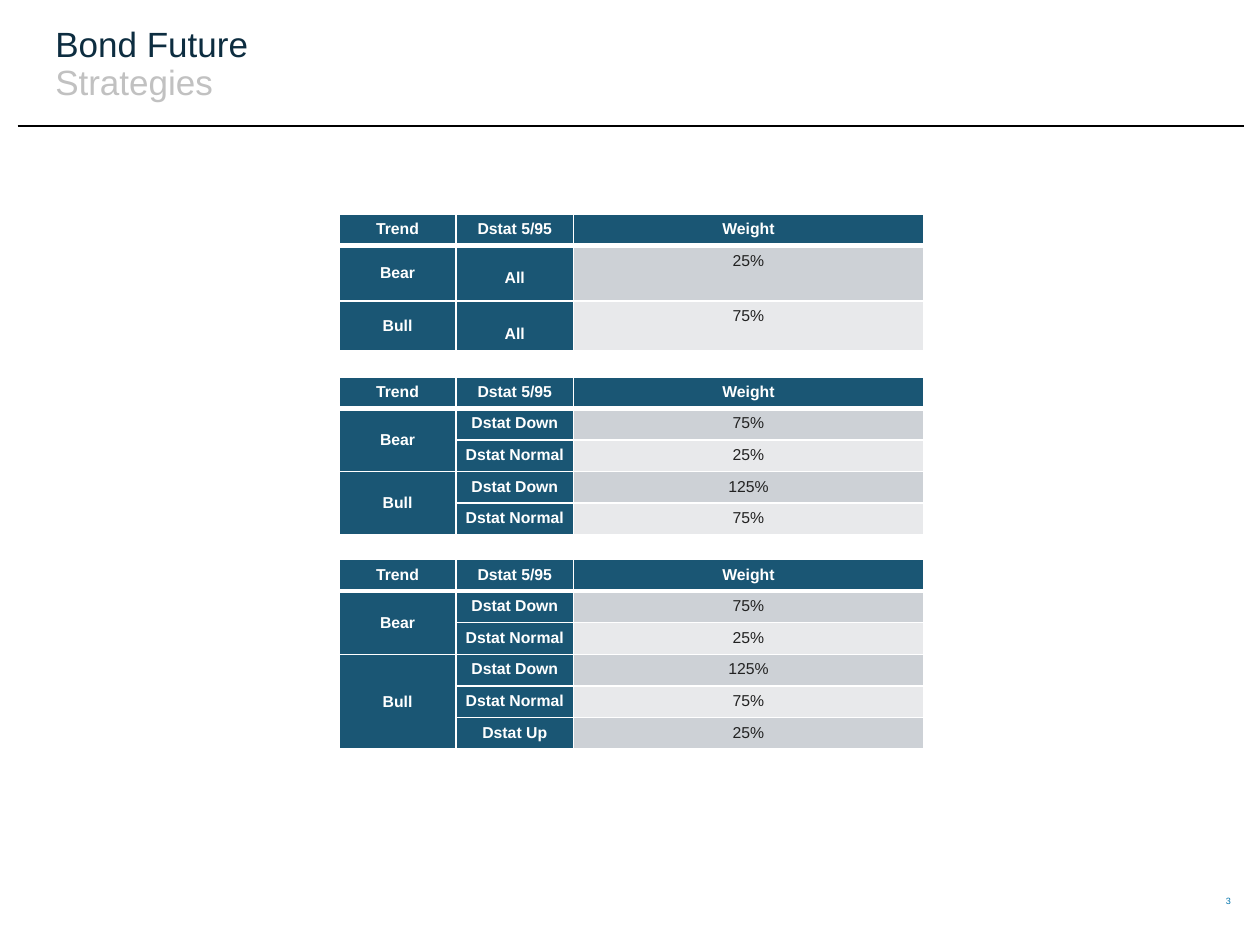
from lxml import etree
from pptx import Presentation
from pptx.dml.color import RGBColor
from pptx.enum.shapes import MSO_CONNECTOR
from pptx.enum.text import MSO_ANCHOR, PP_ALIGN
from pptx.oxml.ns import qn
from pptx.util import Inches, Pt

LEFT, CENTER = PP_ALIGN.LEFT, PP_ALIGN.CENTER
TOP, MIDDLE = MSO_ANCHOR.TOP, MSO_ANCHOR.MIDDLE
STRAIGHT = MSO_CONNECTOR.STRAIGHT

TITLE = ("Bond Future", "Strategies")
PAGE_NUMBER = "3"
HEADER = ("Trend", "Dstat 5/95", "Weight")
TWO_STATES = [("Dstat Down", "75%"), ("Dstat Normal", "25%")]
BULL_STATES = [("Dstat Down", "125%"), ("Dstat Normal", "75%")]
STRATEGIES = [
    {"top": 1.7, "heights": [0.24, 0.44, 0.38], "drop": 0.14,
     "trends": [("Bear", [("All", "25%")]), ("Bull", [("All", "75%")])]},
    {"top": 2.99, "trends": [("Bear", TWO_STATES), ("Bull", BULL_STATES)]},
    {"top": 4.44, "trends": [("Bear", TWO_STATES),
                             ("Bull", BULL_STATES + [("Dstat Up", "25%")])]},
]

THEME = {
    "font": "Arial",
    "title": "0D2D40", "subtitle": "C1C1C1", "number": "0073AA",
    "rule": "000000", "heading": "1A5674", "border": "FFFFFF",
    "on_heading": "FFFFFF", "body": "222222", "bands": ("CDD1D6", "E8E9EB"),
    "title_size": 20, "table_size": 9, "number_size": 5.2,
}
TABLE_LEFT = 2.69
COLUMN_WIDTHS = (0.93, 0.93, 2.78)
ROW_HEIGHT = 0.24
CELL_INSET = 0.05


def write(frame, *lines, size, colors, bold=False, align=CENTER, spacing=None):
    """Write lines, one color each, as one paragraph with line breaks."""
    frame.word_wrap = True
    para = frame.paragraphs[0]
    para.alignment = align
    para.line_spacing = spacing
    for index, (text, color) in enumerate(zip(lines, colors)):
        if index:
            para.add_line_break()
        span = para.add_run()
        span.text = text
        span.font.name = THEME["font"]
        span.font.size = Pt(size)
        span.font.bold = bold
        span.font.color.rgb = RGBColor.from_string(color)


def add_text(page, left, top, width, height, *lines, **text_format):
    box = page.shapes.add_textbox(
        Inches(left), Inches(top), Inches(width), Inches(height))
    box.text_frame.vertical_anchor = MIDDLE
    write(box.text_frame, *lines, **text_format)


def set_borders(cell, bottom):
    properties = cell._tc.get_or_add_tcPr()
    for side, points in (("L", 1), ("R", 1), ("T", 1), ("B", bottom)):
        line = etree.SubElement(properties, qn(f"a:ln{side}"), w=str(Pt(points)))
        fill = etree.SubElement(line, qn("a:solidFill"))
        etree.SubElement(fill, qn("a:srgbClr"), val=THEME["border"])


def style_cell(cell, text, fill, color, bold=True, anchor=TOP, drop=0, bottom=1):
    set_borders(cell, bottom)
    cell.fill.solid()
    cell.fill.fore_color.rgb = RGBColor.from_string(fill)
    cell.margin_left = cell.margin_right = cell.margin_bottom = Inches(CELL_INSET)
    cell.margin_top = Inches(CELL_INSET + drop)
    cell.vertical_anchor = anchor
    if text:
        write(cell.text_frame, text, size=THEME["table_size"],
              colors=[color], bold=bold)


def add_strategy(page, top, trends, heights=None, drop=0):
    """Add one table; drop lowers the state labels within their cells."""
    row_count = 1 + sum(len(states) for _, states in trends)
    heights = heights or [ROW_HEIGHT] * row_count
    table = page.shapes.add_table(
        row_count, len(HEADER), Inches(TABLE_LEFT), Inches(top),
        Inches(sum(COLUMN_WIDTHS)), Inches(sum(heights))).table
    table.horz_banding = False
    for column, width in zip(table.columns, COLUMN_WIDTHS):
        column.width = Inches(width)
    for row, height in zip(table.rows, heights):
        row.height = Inches(height)

    heading = {"fill": THEME["heading"], "color": THEME["on_heading"]}
    for column, text in enumerate(HEADER):
        style_cell(table.cell(0, column), text, bottom=3, **heading)
    row = 1
    for trend, states in trends:
        first = row
        for state, weight in states:
            label = trend if row == first else ""
            style_cell(table.cell(row, 0), label, anchor=MIDDLE, **heading)
            style_cell(table.cell(row, 1), state, drop=drop, **heading)
            style_cell(table.cell(row, 2), weight, bold=False,
                       fill=THEME["bands"][(row - 1) % 2], color=THEME["body"])
            row += 1
        if len(states) > 1:
            table.cell(first, 0).merge(table.cell(row - 1, 0))


def add_rule(page, left, right, y):
    rule = page.shapes.add_connector(
        STRAIGHT, Inches(left), Inches(y), Inches(right), Inches(y))
    rule.line.color.rgb = RGBColor.from_string(THEME["rule"])
    rule.line.width = Pt(0.75)
    etree.SubElement(rule._element.spPr, qn("a:effectLst"))


def main():
    deck = Presentation()
    deck.slide_width, deck.slide_height = Inches(10), Inches(7.5)
    page = deck.slides.add_slide(deck.slide_layouts[6])
    add_rule(page, 0.14, 9.87, 1)
    add_text(page, 9.58, 6.95, 0.34, 0.4, PAGE_NUMBER,
             size=THEME["number_size"], colors=[THEME["number"]])
    add_text(page, 0.34, 0.12, 8.62, 0.79, *TITLE, size=THEME["title_size"],
             colors=[THEME["title"], THEME["subtitle"]], align=LEFT, spacing=0.9)
    for strategy in STRATEGIES:
        add_strategy(page, **strategy)
    deck.save("out.pptx")


if __name__ == "__main__":
    main()
